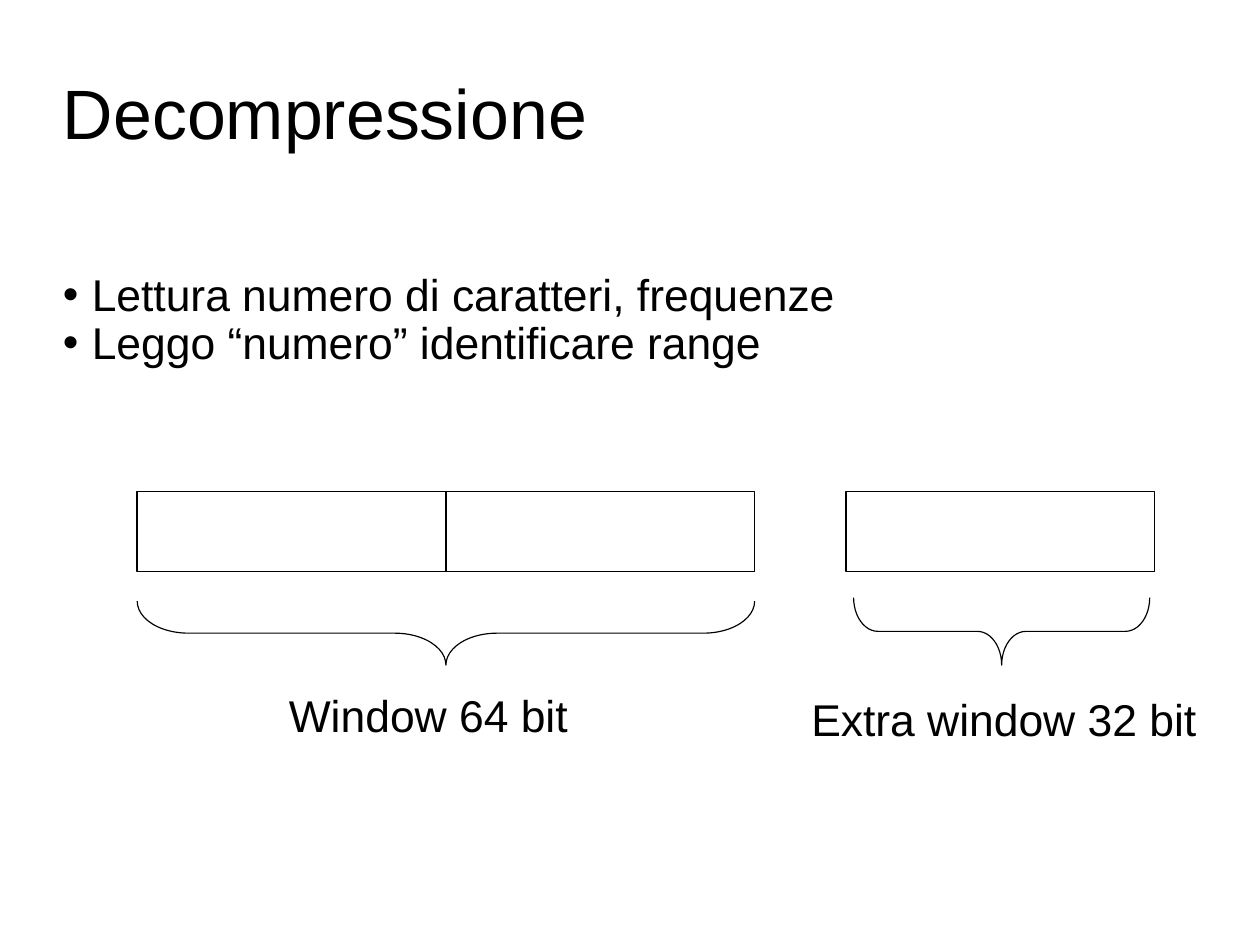
from collections import namedtuple

from pptx import Presentation
from pptx.dml.color import RGBColor
from pptx.enum.shapes import MSO_SHAPE as Preset
from pptx.enum.text import MSO_ANCHOR as Anchor
from pptx.oxml.ns import qn
from pptx.util import Cm, Pt
from lxml.etree import SubElement

Box = namedtuple("Box", "left top width height")
COLORS = {"ink": "000000", "paper": "FFFFFF"}
FONT = "Arial"


def color(name):
    """Return the named colour."""
    return RGBColor.from_string(COLORS[name])


def lengths(box):
    """Turn a box in centimetres into lengths."""
    return [Cm(value) for value in box]


def add_text(slide, box, lines, size=28, anchor=Anchor.TOP, margins=(0.25, 0.13),
             spacing=None, bullet=False):
    """Write one paragraph for each line inside the box."""
    frame = slide.shapes.add_textbox(*lengths(box)).text_frame
    frame.word_wrap = True
    frame.vertical_anchor = anchor
    frame.margin_left = frame.margin_right = Cm(margins[0])
    frame.margin_top = frame.margin_bottom = Cm(margins[1])
    frame.text = "\n".join(lines)
    for paragraph in frame.paragraphs:
        paragraph.line_spacing = spacing
        font = paragraph.runs[0].font
        font.name, font.size = FONT, Pt(size)
        font.color.rgb = color("ink")
        if bullet:
            add_bullet(paragraph)


def add_bullet(paragraph, indent=0.64):
    """Give the paragraph a round bullet and a hanging indent."""
    properties = paragraph._p.get_or_add_pPr()
    properties.set("marL", str(Cm(indent)))
    properties.set("indent", str(-Cm(indent)))
    SubElement(properties, qn("a:buFont"), typeface=FONT)
    SubElement(properties, qn("a:buChar"), char="•")


def add_outline(slide, preset, box, weight):
    """Draw a preset shape with a thin line and no fill."""
    shape = slide.shapes.add_shape(preset, *lengths(box))
    shape.shadow.inherit = False
    shape.fill.background()
    shape.line.color.rgb = color("ink")
    shape.line.width = Pt(weight)
    return shape


def add_brace(slide, box, bend):
    """Draw a brace that points down and fills the box."""
    middle_x, middle_y = box.left + box.width / 2, box.top + box.height / 2
    upright = Box(middle_x - box.height / 2, middle_y - box.width / 2,
                  box.height, box.width)
    brace = add_outline(slide, Preset.LEFT_BRACE, upright, 0.75)
    brace.rotation = 270
    brace.adjustments[0] = bend


def add_header(slide, box, title, points):
    """Place the title at the top of the box and the points below it."""
    margins = (0, 0)
    add_text(slide, box._replace(height=3.51), [title], size=44,
             anchor=Anchor.MIDDLE, margins=margins, spacing=0.9)
    body = box._replace(top=box.top + 4.06, height=box.height - 4.06)
    add_text(slide, body, points, anchor=Anchor.MIDDLE, margins=margins,
             spacing=0.9, bullet=True)


def add_window(slide, box, cells, brace, bend, label, text):
    """Draw a row of equal cells; brace and label are offset from the box."""
    width = box.width / cells
    for index in range(cells):
        cell = box._replace(left=box.left + index * width, width=width)
        add_outline(slide, Preset.RECTANGLE, cell, 1)

    def offset(part):
        return part._replace(left=box.left + part.left, top=box.top + part.top)

    add_brace(slide, offset(brace), bend)
    add_text(slide, offset(label), [text])


def main():
    """Build and save the slide."""
    presentation = Presentation()
    presentation.slide_width, presentation.slide_height = Cm(28), Cm(21)
    slide = presentation.slides.add_slide(presentation.slide_layouts[6])
    slide.background.fill.solid()
    slide.background.fill.fore_color.rgb = color("paper")
    add_header(slide, Box(1.4, 0.84, 25.2, 8.53), "Decompressione",
               ["Lettura numero di caratteri, frequenze",
                "Leggo “numero” identificare range"])
    add_window(slide, Box(3.05, 10.92, 13.72, 1.78), cells=2,
               brace=Box(0, 2.44, 13.72, 1.42), bend=0.8,
               label=Box(3.12, 4.24, 7.77, 1.6), text="Window 64 bit")
    add_window(slide, Box(18.8, 10.92, 6.86, 1.78), cells=1,
               brace=Box(0.17, 2.36, 6.58, 1.5), bend=0.36,
               label=Box(-1.02, 4.32, 9.25, 1.6), text="Extra window 32 bit")
    presentation.save("out.pptx")


main()
